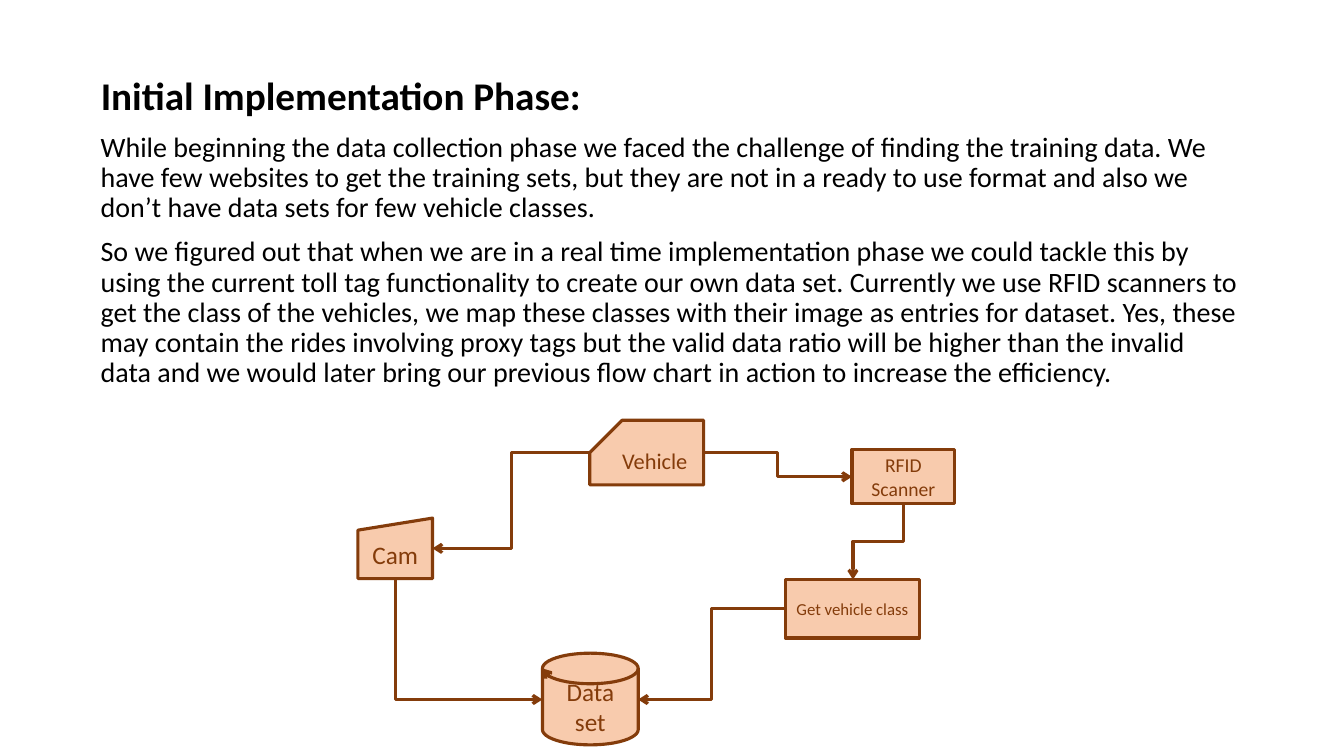
from dataclasses import dataclass

import pptx
import pptx.dml.color
import pptx.enum.shapes
import pptx.enum.text
import pptx.oxml
import pptx.oxml.ns
import pptx.util
from pptx.util import Inches

COLORS = {"text": "000000", "fill": "F8CBAD", "line": "843C0B"}
FONT = "Calibri"
SHAPE = pptx.enum.shapes.MSO_SHAPE
ANCHOR = pptx.enum.text.MSO_ANCHOR
ALIGN = pptx.enum.text.PP_ALIGN
qn = pptx.oxml.ns.qn

TITLE = "Initial Implementation Phase:"
BODY = [
    "While beginning the data collection phase we faced the challenge of finding the training data. "
    "We have few websites to get the training sets, but they are not in a ready to use format and "
    "also we don’t have data sets for few vehicle classes.",
    "So we figured out that when we are in a real time implementation phase we could tackle this by "
    "using the current toll tag functionality to create our own data set. Currently we use RFID "
    "scanners to get the class of the vehicles, we map these classes with their image as entries "
    "for dataset. Yes, these may contain the rides involving proxy tags but the valid data ratio "
    "will be higher than the invalid data and we would later bring our previous flow chart in "
    "action to increase the efficiency.",
]


@dataclass
class Node:
    text: str
    kind: SHAPE
    left: float
    top: float
    width: float
    height: float
    size: int
    flipped: bool = False


@dataclass
class Flow:
    start: tuple[float, float]
    end: tuple[float, float]
    downward: bool = False
    single_bend: bool = False


NODES = [
    Node("Vehicle", SHAPE.SNIP_1_RECTANGLE, 5.85, 4.17, 1.13, 0.64, 16, flipped=True),
    Node("RFID Scanner", SHAPE.RECTANGLE, 8.45, 4.46, 1.02, 0.54, 14),
    Node("Get vehicle class", SHAPE.RECTANGLE, 7.79, 5.75, 1.33, 0.58, 12),
    Node("Cam", SHAPE.FLOWCHART_MANUAL_INPUT, 3.55, 5.14, 0.74, 0.6, 18),
    Node("Data set", SHAPE.FLOWCHART_MAGNETIC_DISK, 5.38, 6.48, 0.95, 0.91, 18),
]

FLOWS = [
    Flow((8.96, 4.99), (8.46, 5.75), downward=True),
    Flow((6.98, 4.49), (8.45, 4.73)),
    Flow((5.85, 4.49), (4.29, 5.44)),
    Flow((3.92, 5.74), (5.38, 6.94), downward=True, single_bend=True),
    Flow((7.79, 6.04), (6.33, 6.94)),
]


def rgb(name: str) -> pptx.dml.color.RGBColor:
    return pptx.dml.color.RGBColor.from_string(COLORS[name])


def format_paragraph(p, size: int, color: str, bold: bool = False) -> None:
    for r in p.runs:
        r.font.name = FONT
        r.font.size = pptx.util.Pt(size)
        r.font.bold = bold
        r.font.color.rgb = rgb(color)


def style_line(s) -> None:
    s.line.color.rgb = rgb("line")
    s.line.width = pptx.util.Pt(2.25)
    ln = s.line._get_or_add_ln()
    tail = pptx.oxml.parse_xml(f'<a:tailEnd {pptx.oxml.ns.nsdecls("a")} type="arrow"/>')
    ln.append(tail)


def add_title(slide) -> None:
    s = slide.shapes.title
    s.left, s.top, s.width, s.height = Inches(0.9), Inches(0.71), Inches(11.5), Inches(0.55)
    tf = s.text_frame
    tf.text = TITLE
    tf.vertical_anchor = ANCHOR.TOP
    tf.auto_size = pptx.enum.text.MSO_AUTO_SIZE.NONE
    p = tf.paragraphs[0]
    p.alignment = ALIGN.LEFT
    p.line_spacing = 0.9
    format_paragraph(p, 28, "text", bold=True)


def add_body(slide) -> None:
    s = slide.shapes.add_textbox(Inches(0.9), Inches(1.27), Inches(11.5), Inches(2.7))
    tf = s.text_frame
    tf.word_wrap = True
    tf.text = "\n".join(BODY)
    for i, p in enumerate(tf.paragraphs):
        p.line_spacing = 0.9
        p.space_before = pptx.util.Pt(10 if i else 0)
        format_paragraph(p, 20, "text")


def add_node(slide, node: Node) -> None:
    s = slide.shapes.add_shape(
        node.kind, Inches(node.left), Inches(node.top), Inches(node.width), Inches(node.height)
    )
    s.shadow.inherit = False
    s.fill.solid()
    s.fill.fore_color.rgb = rgb("fill")
    style_line(s)
    if node.flipped:
        s.adjustments[0] = 0.5
        s._element.spPr.find(qn("a:xfrm")).set("flipH", "1")
    tf = s.text_frame
    tf.word_wrap = True
    tf.text = node.text
    tf.vertical_anchor = ANCHOR.MIDDLE
    p = tf.paragraphs[0]
    p.alignment = ALIGN.CENTER
    format_paragraph(p, node.size, "line")


def add_flow(slide, flow: Flow) -> None:
    (x1, y1), (x2, y2) = flow.start, flow.end
    if flow.downward:
        cx, cy = (x1 + x2) / 2, (y1 + y2) / 2
        dx, dy = (x2 - x1) / 2, (y2 - y1) / 2
        x1, y1, x2, y2 = cx - dy, cy + dx, cx + dy, cy - dx
    s = slide.shapes.add_connector(
        pptx.enum.shapes.MSO_CONNECTOR.ELBOW, Inches(x1), Inches(y1), Inches(x2), Inches(y2)
    )
    style_line(s)
    spPr = s._element.spPr
    if flow.downward:
        spPr.find(qn("a:xfrm")).set("rot", "5400000")
    if flow.single_bend:
        spPr.find(qn("a:prstGeom")).set("prst", "bentConnector2")
    spPr.append(pptx.oxml.parse_xml(f'<a:effectLst {pptx.oxml.ns.nsdecls("a")}/>'))


def main() -> None:
    prs = pptx.Presentation()
    prs.slide_width, prs.slide_height = Inches(13.33), Inches(7.5)
    slide = prs.slides.add_slide(prs.slide_layouts[5])
    add_title(slide)
    add_body(slide)
    for node in NODES:
        add_node(slide, node)
    for flow in FLOWS:
        add_flow(slide, flow)
    prs.save("out.pptx")


if __name__ == "__main__":
    main()
